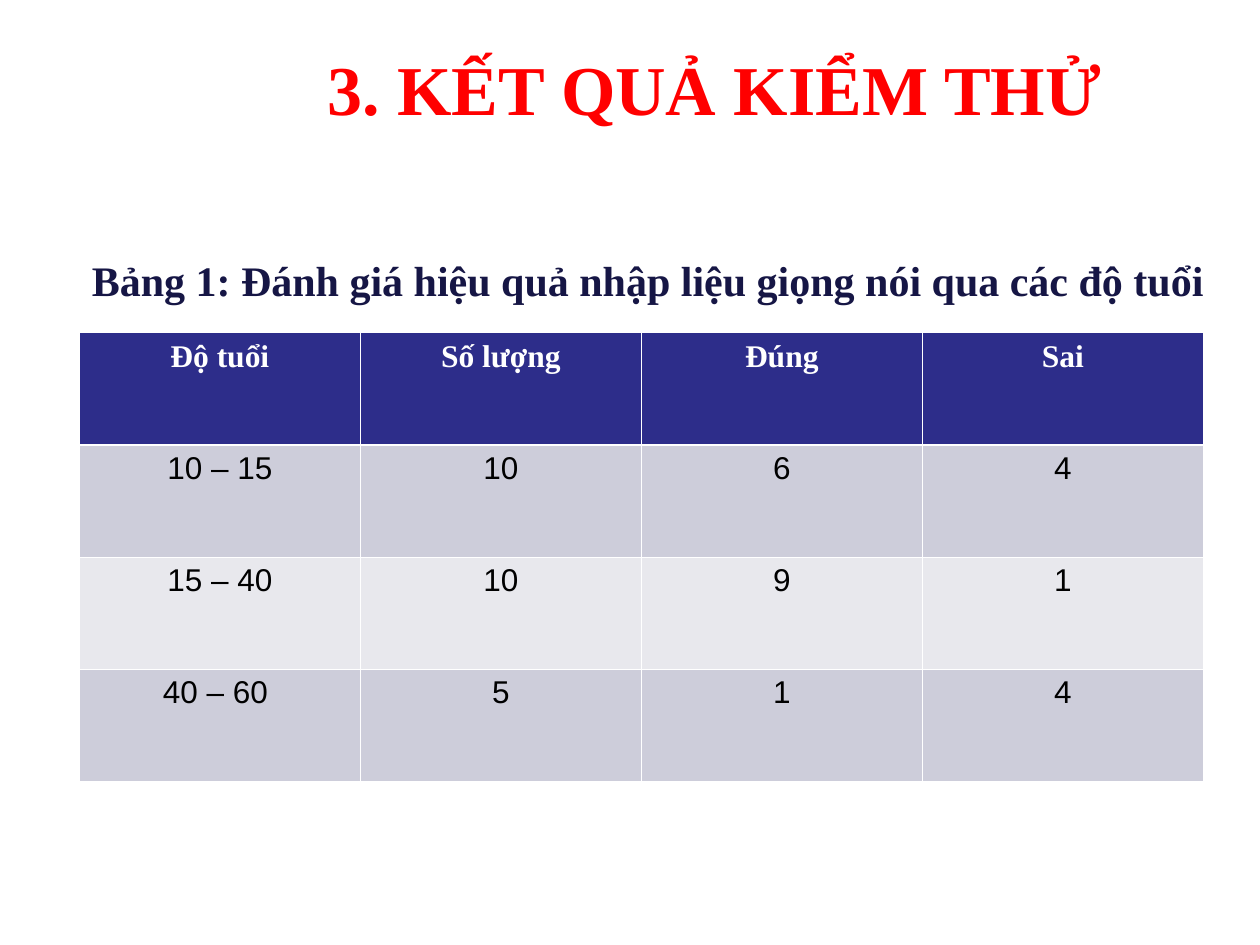
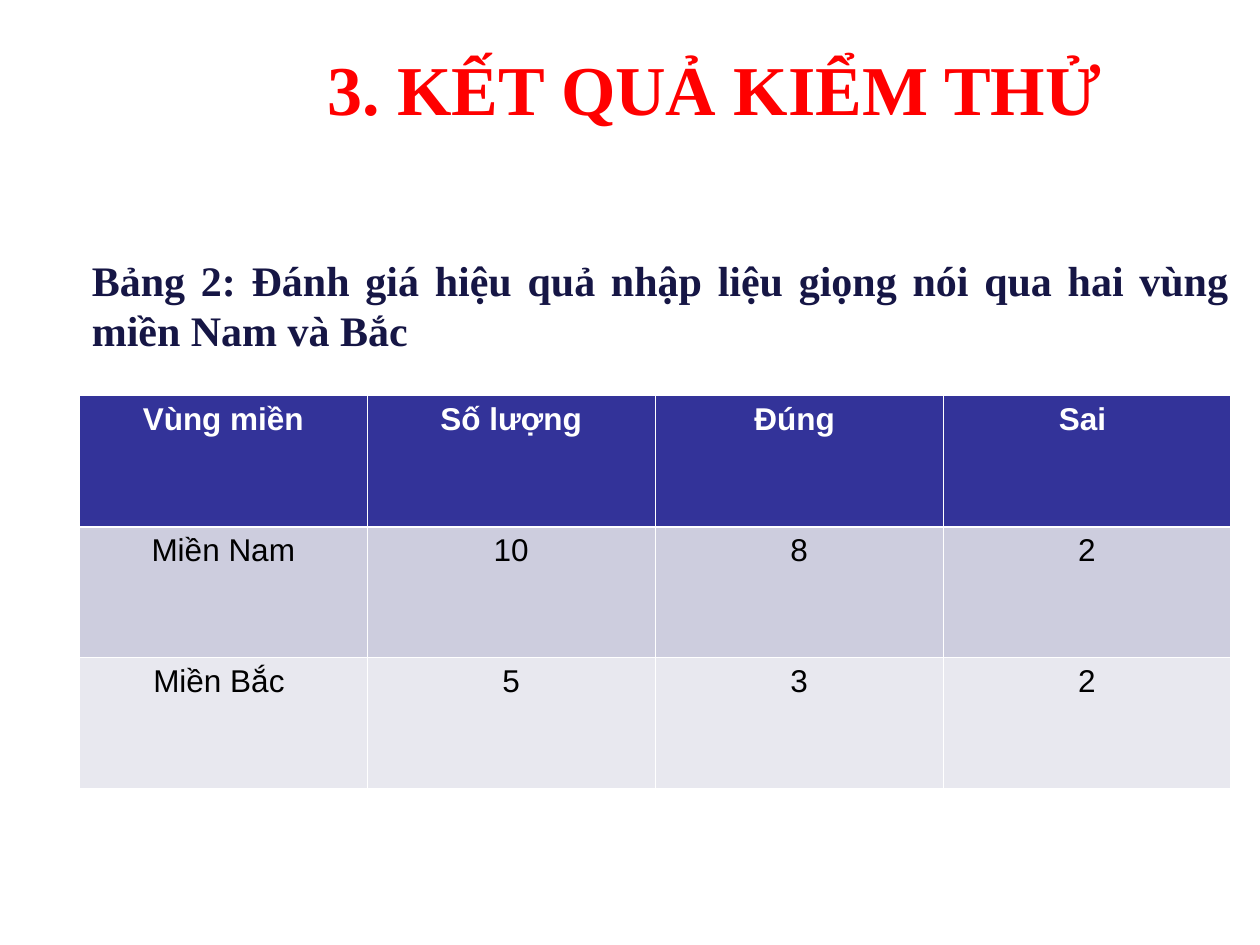
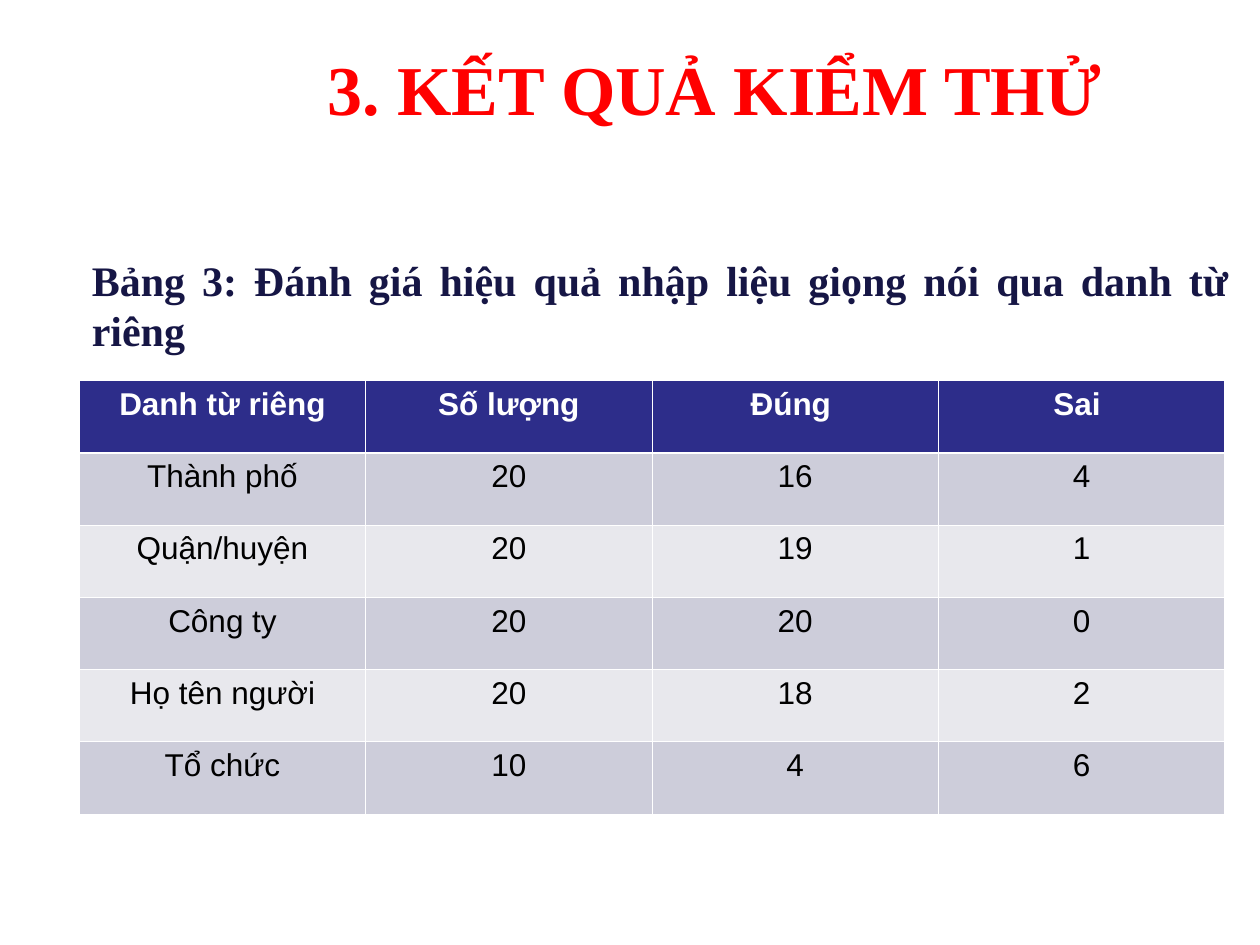
"""Build three slides of voice input test results, one table on each."""

from dataclasses import dataclass
from typing import Any

from lxml.etree import SubElement
from pptx import Presentation
from pptx.dml.color import RGBColor
from pptx.enum.text import MSO_ANCHOR, MSO_AUTO_SIZE, PP_ALIGN
from pptx.oxml.ns import qn
from pptx.slide import Slide
from pptx.table import _Cell
from pptx.text.text import TextFrame
from pptx.util import Inches, Pt

SERIF, SANS = "Times New Roman", "Arial"
TITLE = "3. KẾT QUẢ KIỂM THỬ"
LEFT = Inches(0.63)
GRID_COLOR = "FFFFFF"
THIN, THICK = Pt(0.45), Pt(1.47)

TITLE_FONT = {"name": SERIF, "size": Pt(40), "bold": True, "color": "FF0000"}
CAPTION_FONT = {"name": SERIF, "size": Pt(24), "bold": True, "color": "161645"}
HEADER_FONT = {"name": SANS, "size": Pt(18), "bold": True, "color": "FFFFFF"}
BODY_FONT = {"name": SANS, "size": Pt(18), "bold": False, "color": "000000"}


@dataclass(frozen=True)
class Palette:
    """Fills of the header row and of the alternating body rows."""

    header: str = "2D2D8A"
    bands: tuple[str, str] = ("CDCDDA", "E8E8ED")


@dataclass(frozen=True)
class Result:
    """Content and measures of one result slide."""

    caption: str
    caption_height: float
    top: float
    width: float
    height: float
    rows: tuple[tuple[str, ...], ...]
    header_face: str = SANS
    palette: Palette = Palette()


RESULTS = (
    Result(
        "Bảng 1: Đánh giá hiệu quả nhập liệu giọng nói qua các độ tuổi",
        0.5, 2.64, 8.92, 3.56,
        (
            ("Độ tuổi", "Số lượng", "Đúng", "Sai"),
            ("10 – 15", "10", "6", "4"),
            ("15 – 40", "10", "9", "1"),
            ("40 – 60 ", "5", "1", "4"),
        ),
        header_face=SERIF,
    ),
    Result(
        "Bảng 2: Đánh giá hiệu quả nhập liệu giọng nói qua hai vùng miền Nam và Bắc",
        0.9, 3.14, 9.14, 3.12,
        (
            ("Vùng miền", "Số lượng", "Đúng ", "Sai "),
            ("Miền Nam", "10", "8", "2"),
            ("Miền Bắc ", "5", "3", "2"),
        ),
        palette=Palette("333399", ("CDCDDE", "E8E8EF")),
    ),
    Result(
        "Bảng 3: Đánh giá hiệu quả nhập liệu giọng nói qua danh từ riêng",
        0.9, 3.02, 9.09, 3.44,
        (
            ("Danh từ riêng", "Số lượng", "Đúng ", "Sai "),
            ("Thành phố", "20", "16", "4"),
            ("Quận/huyện", "20", "19", "1"),
            ("Công ty", "20", "20", "0"),
            ("Họ tên người", "20", "18", "2"),
            ("Tổ chức", "10", "4", "6"),
        ),
    ),
)


def rgb(color: str) -> RGBColor:
    """Turn a hex string into a colour."""
    return RGBColor.from_string(color)


def apply(target: Any, values: dict[str, Any]) -> None:
    """Set each attribute of the target from the format values."""
    for attribute, value in values.items():
        if attribute == "color":
            target.color.rgb = rgb(value)
        else:
            setattr(target, attribute, value)


def write(frame: TextFrame, text: str, font: dict[str, Any], alignment: PP_ALIGN) -> None:
    """Put one formatted paragraph into a text frame."""
    frame.text = text
    paragraph = frame.paragraphs[0]
    paragraph.alignment = alignment
    apply(paragraph.font, font)
    apply(paragraph.runs[0].font, font)


def add_title(slide: Slide) -> None:
    """Move and fill the title placeholder."""
    title = slide.shapes.title
    apply(title, {"left": Inches(2.49), "top": Inches(0.31),
                  "width": Inches(6.36), "height": Inches(0.77)})
    apply(title.text_frame, {"word_wrap": False, "vertical_anchor": MSO_ANCHOR.TOP,
                             "auto_size": MSO_AUTO_SIZE.SHAPE_TO_FIT_TEXT})
    write(title.text_frame, TITLE, TITLE_FONT, PP_ALIGN.CENTER)


def add_caption(slide: Slide, result: Result) -> None:
    """Write the justified caption above the table."""
    caption = slide.shapes.add_textbox(
        LEFT, Inches(1.97), Inches(9.22), Inches(result.caption_height))
    apply(caption.text_frame, {"word_wrap": True,
                               "auto_size": MSO_AUTO_SIZE.SHAPE_TO_FIT_TEXT})
    write(caption.text_frame, result.caption, CAPTION_FONT, PP_ALIGN.JUSTIFY)


def add_borders(cell: _Cell, row: int) -> None:
    """Rule a cell, with a thicker line between the header and the body."""
    widths = {"L": THIN, "R": THIN,
              "T": THICK if row == 1 else THIN,
              "B": THICK if row == 0 else THIN}
    properties = cell._tc.get_or_add_tcPr()
    for side, width in widths.items():
        line = SubElement(properties, qn(f"a:ln{side}"), w=str(int(width)))
        SubElement(SubElement(line, qn("a:solidFill")), qn("a:srgbClr"), val=GRID_COLOR)


def add_results(slide: Slide, result: Result) -> None:
    """Draw the result table with equal rows and columns."""
    row_count, column_count = len(result.rows), len(result.rows[0])
    table = slide.shapes.add_table(
        row_count, column_count, LEFT, Inches(result.top),
        Inches(result.width), Inches(result.height)).table
    header_font = HEADER_FONT | {"name": result.header_face}
    for row, texts in enumerate(result.rows):
        is_header = row == 0
        fill = result.palette.header if is_header else result.palette.bands[(row - 1) % 2]
        for column, text in enumerate(texts):
            cell = table.cell(row, column)
            write(cell.text_frame, text, header_font if is_header else BODY_FONT,
                  PP_ALIGN.CENTER)
            add_borders(cell, row)
            cell.fill.solid()
            cell.fill.fore_color.rgb = rgb(fill)


def main() -> None:
    """Build and save the presentation."""
    presentation = Presentation()
    apply(presentation, {"slide_width": Inches(10), "slide_height": Inches(7.5)})
    title_only = presentation.slide_layouts.get_by_name("Title Only")
    for result in RESULTS:
        slide = presentation.slides.add_slide(title_only)
        add_title(slide)
        add_caption(slide, result)
        add_results(slide, result)
    presentation.save("out.pptx")


if __name__ == "__main__":
    main()
